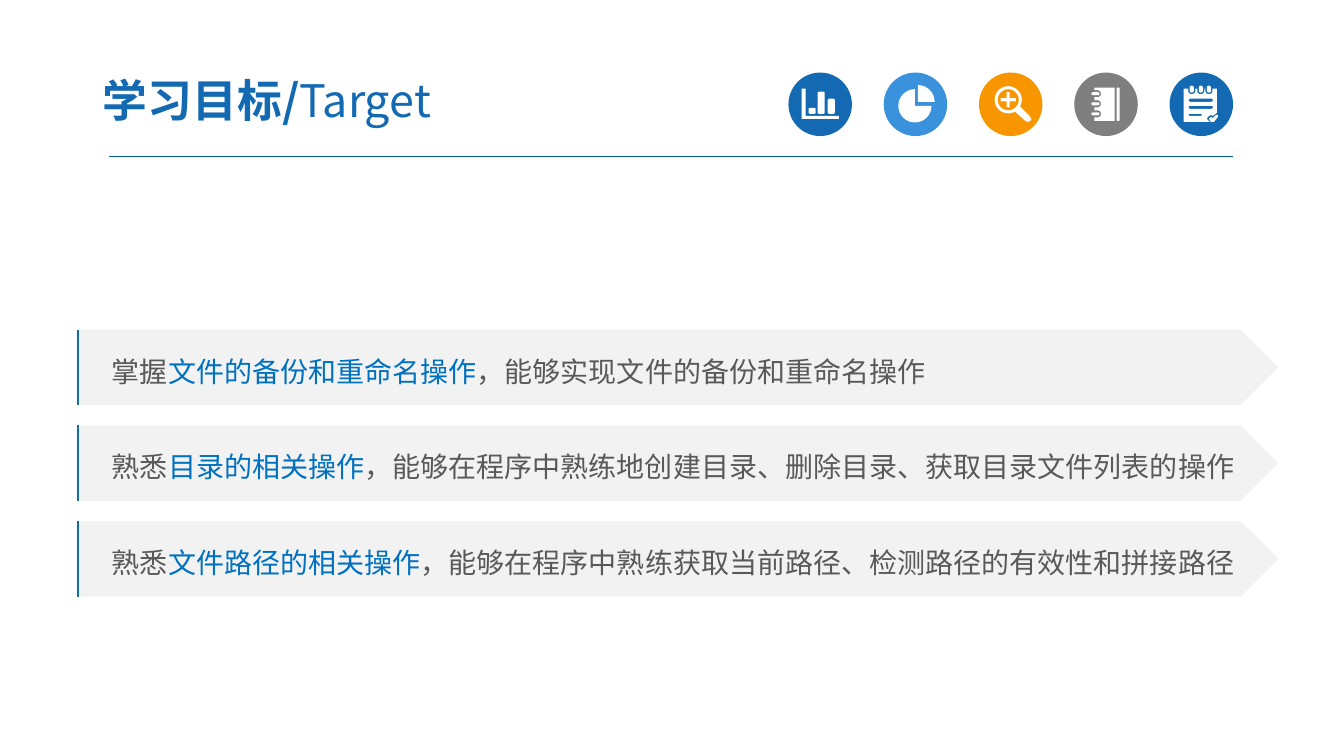
from math import cos, radians, sin

from lxml.etree import SubElement
from pptx import Presentation
from pptx.dml.color import RGBColor
from pptx.enum.shapes import MSO_CONNECTOR, MSO_SHAPE
from pptx.enum.text import MSO_ANCHOR, PP_ALIGN
from pptx.oxml.ns import qn
from pptx.util import Inches, Pt

BLUE, SKY, ORANGE, GREY = "1369B2", "3992DB", "F79600", "7F7F7F"
WHITE, BAND, BODY, ACCENT = "FFFFFF", "F2F2F2", "595959", "0070C0"


def color(value):
    return RGBColor.from_string(value)


def arc(x, y, radius, start, end, steps=24):
    """Points on a circle; degrees run clockwise from the right."""
    angles = [radians(start + (end - start) * i / steps) for i in range(steps + 1)]
    return [(x + radius * cos(a), y + radius * sin(a)) for a in angles]


def rounded(left, top, right, bottom, radius=1.5):
    corners = [(right - radius, top + radius, -90), (right - radius, bottom - radius, 0),
               (left + radius, bottom - radius, 90), (left + radius, top + radius, 180)]
    return [point for x, y, start in corners
            for point in arc(x, y, radius, start, start + 90, 6)]


# Icon outlines: hundredths of an inch from the badge's top left corner.
def bar_chart_icon():
    axes = [(13, 16), (17, 16), (17, 43), (50, 43), (50, 46), (13, 46)]
    bars = [rounded(left, top, left + 7, 41) for left, top in [(20, 35), (29, 19), (39, 26)]]
    return [axes, *bars]


def pie_icon():
    return [[(34, 29), *arc(34, 29, 16.5, -90, 0)],
            [(31, 33), *arc(31, 33, 16.5, 0, 270)]]


def magnifier_icon():
    handle = [(36, 39), (38.6, 36.6), (41, 34), (50, 43), (52, 46), (51, 48), (48, 49), (46, 48)]
    plus = [(27.5, 19.5), (30.5, 19.5), (30.5, 25.5), (36.5, 25.5), (36.5, 28.5), (30.5, 28.5),
            (30.5, 34.5), (27.5, 34.5), (27.5, 28.5), (21.5, 28.5), (21.5, 25.5), (27.5, 25.5)]
    return [arc(29, 27, 13.5, 0, 360), arc(29, 27, 10.5, 0, 360), handle, plus]


def notebook_icon():
    rings = [41, 31, 21]
    cover = [(20, 15), (40, 15), (40, 48), (20, 48)]
    for y in rings:
        cover += [(20, y + 3.5), *arc(23, y, 3.5, 90, -90), (20, y - 3.5)]
    return [cover, rounded(42, 15, 45, 48, 1)] + [rounded(17, y - 1.5, 25, y + 1.5) for y in rings]


def notepad_icon():
    rings = [22, 31, 39]
    sheet = [(14, 16)]
    for x in rings:
        sheet += [(x - 3.5, 16), *arc(x, 18, 3.5, 180, 0), (x + 3.5, 16)]
    sheet += [(47, 16), (47, 40), (43, 43), (41, 42), (38, 44), (37, 46), (40, 49), (14, 49)]
    tick = [(48, 44), (44, 49), (41, 49), (39, 46), (41, 44), (43, 45), (46, 42), (48, 42)]
    lines = [rounded(19, 26, 43, 29), rounded(19, 33, 43, 36), rounded(19, 41, 32, 43, 1)]
    return [sheet, tick, *lines] + [rounded(x - 2, 13, x + 2, 20, 2) for x in rings]


class SlideBuilder:
    font = "Noto Sans CJK SC"

    def __init__(self, page):
        self.page = page

    def paint(self, shape, fill):
        shape.shadow.inherit = False
        shape.fill.solid()
        shape.fill.fore_color.rgb = color(fill)
        shape.line.fill.background()

    def shape(self, kind, left, top, width, height, fill):
        shape = self.page.shapes.add_shape(
            kind, Inches(left), Inches(top), Inches(width), Inches(height))
        self.paint(shape, fill)
        return shape

    def line(self, x1, y1, x2, y2, stroke, weight):
        line = self.page.shapes.add_connector(
            MSO_CONNECTOR.STRAIGHT, Inches(x1), Inches(y1), Inches(x2), Inches(y2))
        line.line.color.rgb = color(stroke)
        line.line.width = Pt(weight)
        SubElement(line._element.spPr, qn("a:effectLst"))

    def icon(self, left, top, outlines):
        placed = [[(Inches(left + x / 100), Inches(top + y / 100)) for x, y in outline]
                  for outline in outlines]
        builder = self.page.shapes.build_freeform(*placed[0][0], scale=1.0)
        builder.add_line_segments(placed[0][1:], close=True)
        for outline in placed[1:]:
            builder.move_to(*outline[0])
            builder.add_line_segments(outline[1:], close=True)
        self.paint(builder.convert_to_shape(), WHITE)

    def add_text(self, box, spans, size, spacing=None):
        """Fill a shape with one left-aligned paragraph of (text, color, bold) spans."""
        frame = box.text_frame
        frame.word_wrap = True
        frame.vertical_anchor = MSO_ANCHOR.MIDDLE
        para = frame.paragraphs[0]
        para.alignment = PP_ALIGN.LEFT
        para.line_spacing = spacing
        for text, ink, bold in spans:
            span = para.add_run()
            span.text = text
            span.font.size = Pt(size)
            span.font.bold = bold
            span.font.color.rgb = color(ink)
            span.font.name = self.font
            SubElement(span.font._element, qn("a:ea"), typeface=self.font)
        return frame

    def title(self, left, top, width, height, spans):
        box = self.page.shapes.add_textbox(
            Inches(left), Inches(top), Inches(width), Inches(height))
        frame = self.add_text(box, spans, 32)
        frame.margin_left = frame.margin_right = Inches(0.13)
        frame.margin_top = frame.margin_bottom = Inches(0.07)

    def badge(self, left, top, fill, outlines):
        self.shape(MSO_SHAPE.OVAL, left, top, 0.63, 0.63, fill)
        self.icon(left, top, outlines)

    def goal(self, top, verb, topic, detail):
        band = self.shape(MSO_SHAPE.PENTAGON, 0.76, top, 11.92, 0.75, BAND)
        spans = [(verb, BODY, False), (topic, ACCENT, False), (detail, BODY, False)]
        self.add_text(band, spans, 20, 1.2).margin_left = Inches(0.35)
        self.line(0.77, top + 0.75, 0.77, top, BLUE, 1.5)


def main():
    deck = Presentation()
    deck.slide_width, deck.slide_height = Inches(13.33), Inches(7.5)
    slide = SlideBuilder(deck.slides.add_slide(deck.slide_layouts[6]))

    slide.line(1.08, 1.55, 12.23, 1.55, "005B9E", 0.75)
    badges = [(BLUE, bar_chart_icon), (SKY, pie_icon), (ORANGE, magnifier_icon),
              (GREY, notebook_icon), (BLUE, notepad_icon)]
    first, last = 7.82, 11.6
    step = (last - first) / (len(badges) - 1)
    for i, (fill, outlines) in enumerate(badges):
        slide.badge(first + i * step, 0.72, fill, outlines())

    slide.title(0.89, 0.63, 5.22, 0.72, [("学习目标/", BLUE, True), ("Target", BLUE, False)])

    goals = [
        ("掌握", "文件的备份和重命名操作", "，能够实现文件的备份和重命名操作"),
        ("熟悉", "目录的相关操作", "，能够在程序中熟练地创建目录、删除目录、获取目录文件列表的操作"),
        ("熟悉", "文件路径的相关操作", "，能够在程序中熟练获取当前路径、检测路径的有效性和拼接路径"),
    ]
    for i, goal in enumerate(goals):
        slide.goal(3.27 + i * 0.95, *goal)

    deck.save("out.pptx")


if __name__ == "__main__":
    main()
